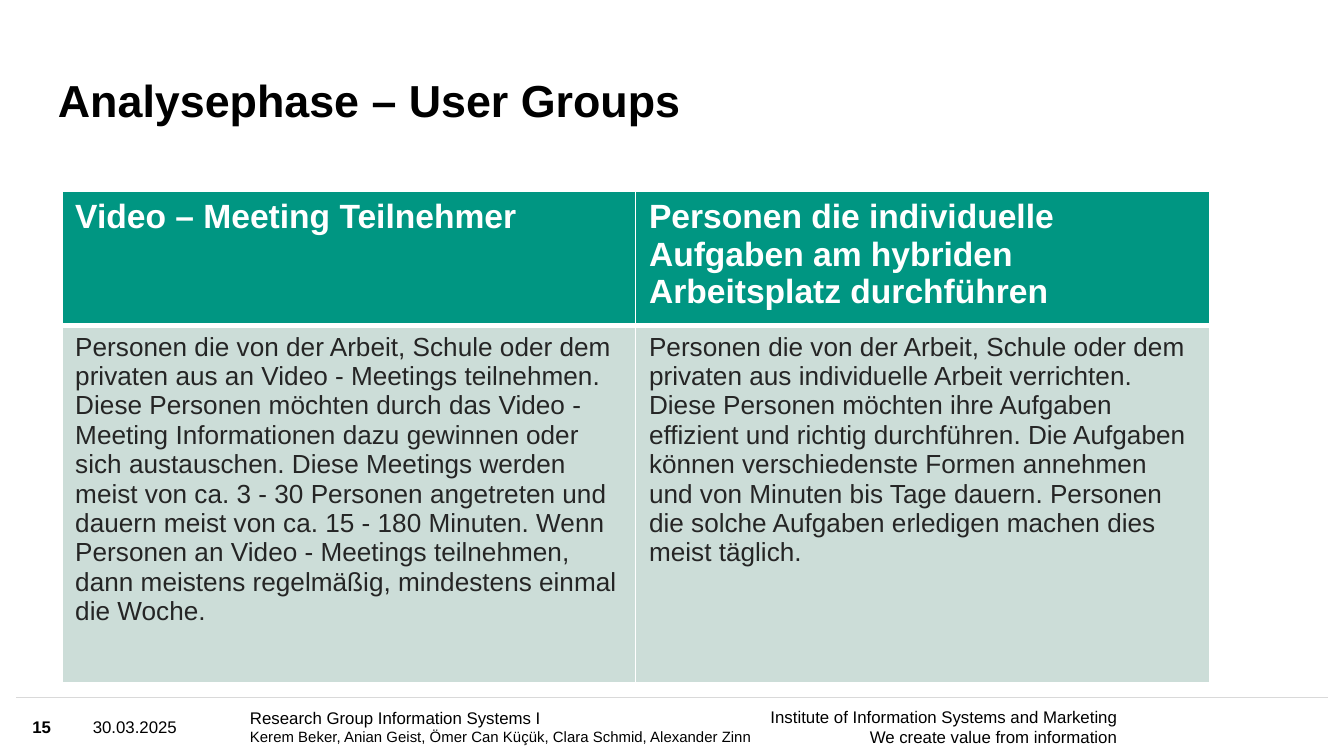
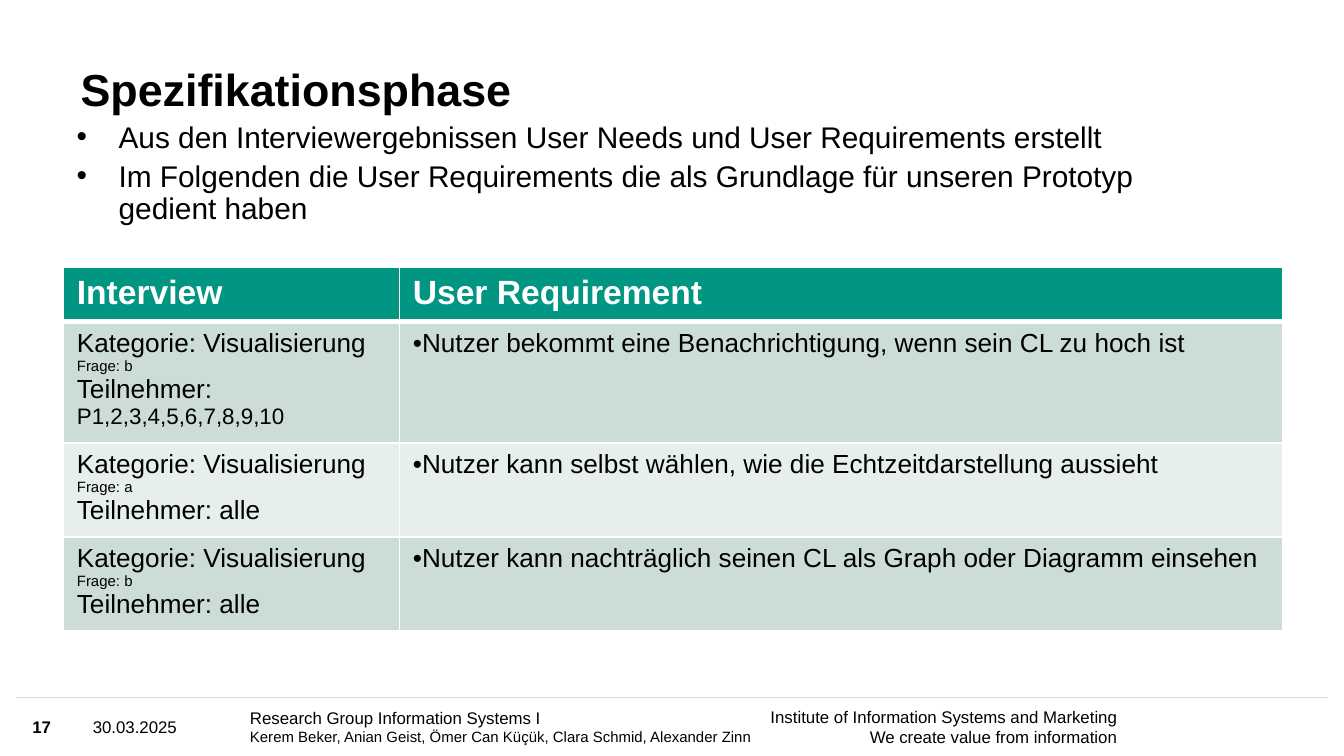
from lxml import etree
from pptx import Presentation
from pptx.dml.color import RGBColor
from pptx.enum import shapes, text
from pptx.oxml import ns
from pptx.util import Pt

FONT = "Arial"
BLACK, WHITE, BODY_GREY, RULE_GREY = "000000", "FFFFFF", "252525", "D9D9D9"
GREEN, MINT, PALE_MINT = "009682", "CCDDD8", "E7EFED"
FOOTER_TOP, FOOTER_HEIGHT = 373.7, 31


def rgb(value):
    return RGBColor.from_string(value)


def add_run(p, content, size, color=BLACK, bold=False):
    r = p.add_run()
    r.text = content
    r.font.name = FONT
    r.font.size = Pt(size)
    r.font.bold = bold
    r.font.color.rgb = rgb(color)


def paragraphs(tf, count):
    """Yield count paragraphs, starting with the one the frame already has."""
    for i in range(count):
        yield tf.add_paragraph() if i else tf.paragraphs[0]


def add_frame(s, left, top, width, height, anchor, margin=0):
    tf = s.shapes.add_textbox(Pt(left), Pt(top), Pt(width), Pt(height)).text_frame
    tf.word_wrap = True
    tf.vertical_anchor = anchor
    tf.margin_left = tf.margin_right = Pt(margin)
    tf.margin_top = tf.margin_bottom = Pt(margin / 2)
    return tf


def add_title(s, content, left, top):
    tf = add_frame(s, left, top, 540.7, 45.4, text.MSO_ANCHOR.BOTTOM)
    p = tf.paragraphs[0]
    p.line_spacing = 0.9
    add_run(p, content, 24, bold=True)


def add_footer_text(s, left, width, lines, align=text.PP_ALIGN.LEFT, bold=False):
    tf = add_frame(s, left, FOOTER_TOP, width, FOOTER_HEIGHT, text.MSO_ANCHOR.MIDDLE)
    for p, (content, size) in zip(paragraphs(tf, len(lines)), lines):
        p.alignment = align
        add_run(p, content, size, bold=bold)


def add_footer(s, number):
    rule = s.shapes.add_connector(shapes.MSO_CONNECTOR.STRAIGHT,
                                  Pt(8.6), Pt(FOOTER_TOP), Pt(711.4), Pt(FOOTER_TOP))
    rule.line.color.rgb = rgb(RULE_GREY)
    rule.line.width = Pt(1)
    etree.SubElement(rule._element.spPr, ns.qn("a:effectLst"))
    add_footer_text(s, 133.9, 290, [
        ("Research Group Information Systems I", 9),
        ("Kerem Beker, Anian Geist, Ömer Can Küçük, Clara Schmid, Alexander Zinn", 8)])
    add_footer_text(s, 342.7, 255.6, [
        ("Institute of Information Systems and Marketing", 9),
        ("We create value from information", 9)], text.PP_ALIGN.RIGHT)
    add_footer_text(s, 49.7, 80.6, [("30.03.2025", 9)])
    add_footer_text(s, 17.3, 26, [(str(number), 9)], bold=True)


def add_bullets(s, items, left, top, width, height):
    tf = add_frame(s, left, top, width, height, text.MSO_ANCHOR.TOP, 7.2)
    for i, (p, item) in enumerate(zip(paragraphs(tf, len(items)), items)):
        pPr = p._p.get_or_add_pPr()
        pPr.set("marL", str(Pt(22.5)))
        pPr.set("indent", str(-Pt(22.5)))
        etree.SubElement(pPr, ns.qn("a:buFont"), typeface=FONT)
        etree.SubElement(pPr, ns.qn("a:buChar"), char="•")
        p.line_spacing = 0.9
        if i:
            p.space_before = Pt(3.6)
        add_run(p, item, 16)


def set_borders(cell, **widths):
    """Draw white cell borders, given as L, R, T and B widths in points."""
    tcPr = cell._tc.get_or_add_tcPr()
    for side, width in widths.items():
        ln = etree.SubElement(tcPr, ns.qn(f"a:ln{side}"), w=str(Pt(width)))
        fill = etree.SubElement(ln, ns.qn("a:solidFill"))
        etree.SubElement(fill, ns.qn("a:srgbClr"), val=WHITE)


def fill_cell(cell, lines, fill, color, bold, top=1, bottom=1):
    """Write lines, each a list of (text, size) runs, into a cell."""
    set_borders(cell, L=1, R=1, T=top, B=bottom)
    cell.fill.solid()
    cell.fill.fore_color.rgb = rgb(fill)
    for p, runs in zip(paragraphs(cell.text_frame, len(lines)), lines):
        for content, size in runs:
            add_run(p, content, size, color, bold)


def add_table(s, left, top, widths, heights, headers, rows, color):
    table = s.shapes.add_table(len(heights), len(widths), Pt(left), Pt(top),
                               Pt(sum(widths)), Pt(sum(heights))).table
    for column, width in zip(table.columns, widths):
        column.width = Pt(width)
    for row, height in zip(table.rows, heights):
        row.height = Pt(height)
    for c, header in enumerate(headers):
        fill_cell(table.cell(0, c), [[(header, 18)]], GREEN, WHITE, True, bottom=3)
    for r, row in enumerate(rows, 1):
        for c, lines in enumerate(row):
            fill_cell(table.cell(r, c), lines, MINT if r % 2 else PALE_MINT,
                      color, False, top=3 if r == 1 else 1)


def requirement_row(question, participants, requirement):
    interview = [[("Kategorie: Visualisierung", 14)],
                 [(f"Frage: {question}", 8)],
                 participants]
    return [interview, [[("•" + requirement, 14)]]]


def add_user_groups(s):
    add_title(s, "Analysephase – User Groups", 31, 23)
    descriptions = [
        "Personen die von der Arbeit, Schule oder dem privaten aus an Video - Meetings "
        "teilnehmen. Diese Personen möchten durch das Video - Meeting Informationen dazu "
        "gewinnen oder sich austauschen. Diese Meetings werden meist von ca. 3 - 30 Personen "
        "angetreten und dauern meist von ca. 15 - 180 Minuten. Wenn Personen an Video - "
        "Meetings teilnehmen, dann meistens regelmäßig, mindestens einmal die Woche.",
        "Personen die von der Arbeit, Schule oder dem privaten aus individuelle Arbeit "
        "verrichten. Diese Personen möchten ihre Aufgaben effizient und richtig durchführen. "
        "Die Aufgaben können verschiedenste Formen annehmen und von Minuten bis Tage dauern. "
        "Personen die solche Aufgaben erledigen machen dies meist täglich."]
    add_table(s, 33.1, 102.5, [307.4, 307.4], [67, 191.5],
              ["Video – Meeting Teilnehmer",
               "Personen die individuelle Aufgaben am hybriden Arbeitsplatz durchführen"],
              [[[[(description, 14)]] for description in descriptions]], BODY_GREY)


def add_requirements(s):
    everyone = [("Teilnehmer: alle", 14)]
    add_table(s, 34, 143.3, [180, 473], [29.2, 60.8, 47.6, 47.6],
              ["Interview", "User Requirement"], [
                  requirement_row("b", [("Teilnehmer: ", 14), ("P1,2,3,4,5,6,7,8,9,10", 12)],
                                  "Nutzer bekommt eine Benachrichtigung, wenn sein CL zu hoch ist"),
                  requirement_row("a", everyone,
                                  "Nutzer kann selbst wählen, wie die Echtzeitdarstellung aussieht"),
                  requirement_row("b", everyone,
                                  "Nutzer kann nachträglich seinen CL als Graph oder Diagramm einsehen"),
              ], BLACK)
    add_title(s, "Spezifikationsphase", 43.2, 16.6)
    add_bullets(s, [
        "Aus den Interviewergebnissen User Needs und User Requirements erstellt",
        "Im Folgenden die User Requirements die als Grundlage für unseren Prototyp gedient haben",
    ], 34, 62, 599, 63.4)


def main():
    prs = Presentation()
    prs.slide_width, prs.slide_height = Pt(720), Pt(405)
    for number, add_content in [(15, add_user_groups), (17, add_requirements)]:
        s = prs.slides.add_slide(prs.slide_layouts[6])
        add_footer(s, number)
        add_content(s)
    prs.save("out.pptx")


if __name__ == "__main__":
    main()
